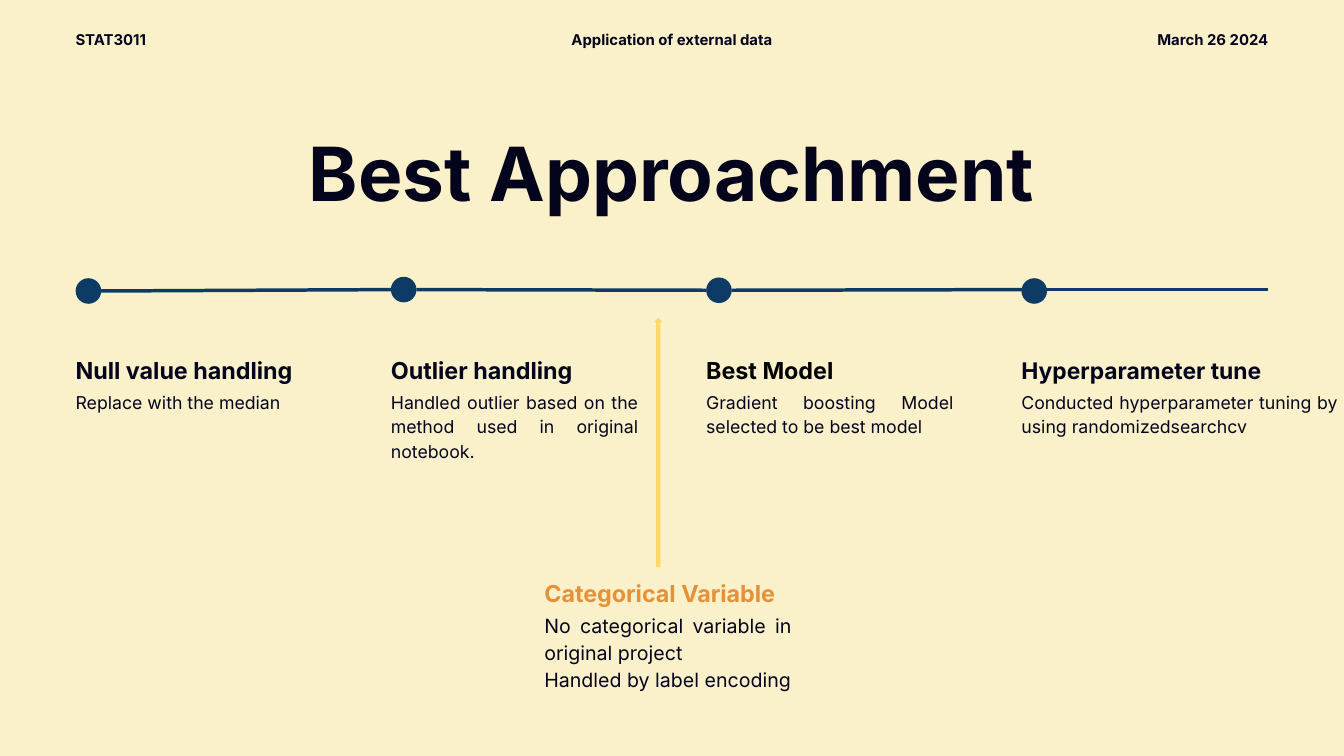
import dataclasses

import pptx
import pptx.dml.color
import pptx.enum.shapes
import pptx.enum.text
import pptx.oxml
import pptx.oxml.ns
import pptx.util

Pt = pptx.util.Pt
Align = pptx.enum.text.PP_ALIGN
Shape = pptx.enum.shapes.MSO_SHAPE


def rgb(code):
    return pptx.dml.color.RGBColor.from_string(code)


@dataclasses.dataclass(frozen=True)
class Theme:
    font: str = "Inter"
    background: str = "FAF0CA"
    ink: str = "05041D"
    black: str = "000000"
    navy: str = "0D3B66"
    orange: str = "E69138"
    yellow: str = "FFD966"
    title: float = 80
    heading: float = 25
    small_heading: float = 24.5
    aside: float = 21
    body: float = 19
    header: float = 16


class SlideBuilder:
    def __init__(self, slide, theme):
        self.slide = slide
        self.theme = theme
        slide.background.fill.solid()
        slide.background.fill.fore_color.rgb = rgb(theme.background)

    def style(self, holder, text, size, align, spacing, bold=False, color=None):
        frame = holder.text_frame
        frame.text = text
        frame.word_wrap = True
        frame.auto_size = pptx.enum.text.MSO_AUTO_SIZE.SHAPE_TO_FIT_TEXT
        frame.vertical_anchor = pptx.enum.text.MSO_ANCHOR.TOP
        frame.margin_left = frame.margin_right = 0
        frame.margin_top = frame.margin_bottom = 0
        for paragraph in frame.paragraphs:
            paragraph.alignment = align
            paragraph.line_spacing = spacing
            paragraph.space_before = Pt(0)
            for run in paragraph.runs:
                run.font.name = self.theme.font
                run.font.size = Pt(size)
                run.font.bold = bold
                run.font.color.rgb = rgb(color or self.theme.ink)

    def title(self, text, left, top, width, height):
        heading = self.slide.shapes.title
        heading.left, heading.top = Pt(left), Pt(top)
        heading.width, heading.height = Pt(width), Pt(height)
        self.style(heading, text, self.theme.title, Align.CENTER, 0.8, True)

    def text(self, text, left, top, width, height, size,
             align=Align.JUSTIFY, spacing=1.15, bold=False, color=None):
        box = self.slide.shapes.add_textbox(Pt(left), Pt(top), Pt(width), Pt(height))
        self.style(box, text, size, align, spacing, bold, color)

    def shape(self, kind, left, top, width, height, color, rotation=0):
        shape = self.slide.shapes.add_shape(
            kind, Pt(left), Pt(top), Pt(width), Pt(height))
        shape.shadow.inherit = False
        shape.fill.solid()
        shape.fill.fore_color.rgb = rgb(color)
        shape.line.fill.background()
        shape.rotation = rotation

    def line(self, x1, y1, x2, y2, color, weight):
        line = self.slide.shapes.add_connector(
            pptx.enum.shapes.MSO_CONNECTOR.STRAIGHT, Pt(x1), Pt(y1), Pt(x2), Pt(y2))
        line.line.color.rgb = rgb(color)
        line.line.width = Pt(weight)
        properties = line._element.find(pptx.oxml.ns.qn("p:spPr"))
        properties.append(pptx.oxml.parse_xml(
            "<a:effectLst %s/>" % pptx.oxml.ns.nsdecls("a")))


def main():
    theme = Theme()
    deck = pptx.Presentation()
    deck.slide_width, deck.slide_height = Pt(1440), Pt(810)
    page = SlideBuilder(deck.slides.add_slide(deck.slide_layouts[5]), theme)

    margin, right_edge = 81, 1359
    step, column_width = 337.8, 265
    dot = 27.4

    # Running header
    for words, left, width, align in (
        ("STAT3011", margin, 124, Align.LEFT),
        ("Application of external data", 578, 284, Align.CENTER),
        ("March 26 2024", 1226, 133, Align.RIGHT),
    ):
        page.text(words, left, 25.2, width, 19.4, theme.header, align, 1.4, True)

    # Title
    page.title("Best Approachment", margin, 154, right_edge - margin, 77.8)

    # Timeline: lines first, dots on top
    columns = [margin + i * step for i in range(4)]
    centers = [311.8, 310.3, 311, 311.8]
    line_ends = [310.3, 311, 310.3]
    for i, end in enumerate(line_ends):
        page.line(columns[i] + dot, centers[i], columns[i + 1], end, theme.navy, 3.75)
    page.line(1065, 310.3, right_edge, 310.3, theme.navy, 3.75)
    for left, center in zip(columns, centers):
        page.shape(Shape.OVAL, left, center - dot / 2, dot, dot, theme.navy)

    # Steps under the timeline: heading, size, colour, body, body width and height
    steps = (
        ("Null value handling", theme.heading, theme.ink,
         "Replace with the median", column_width, 23),
        ("Outlier handling", theme.heading, theme.ink,
         "Handled outlier based on the method used in original notebook.",
         column_width, 76.3),
        ("Best Model", theme.heading, theme.black,
         "Gradient boosting Model selected to be best model", column_width, 49.7),
        ("Hyperparameter tune", theme.small_heading, theme.ink,
         "Conducted hyperparameter tuning by using randomizedsearchcv", 339, 49.7),
    )
    for left, (heading, size, color, body, width, height) in zip(columns, steps):
        page.text(heading, left, 377.3, column_width, 30.2, size, bold=True, color=color)
        page.text(body, left, 416.2, width, height, theme.body)

    # Additional step pointing up to the timeline
    page.text("Categorical Variable", 583.2, 615.6, 345.6, 30.2, theme.heading,
              bold=True, color=theme.orange)
    page.text("No categorical variable in original project\nHandled by label encoding",
              583.2, 653.8, column_width, 84.2, theme.aside)
    page.shape(Shape.RIGHT_ARROW, 571.7, 469.4, 267.1, 9.4, theme.yellow, 270)

    deck.save("out.pptx")


if __name__ == "__main__":
    main()
